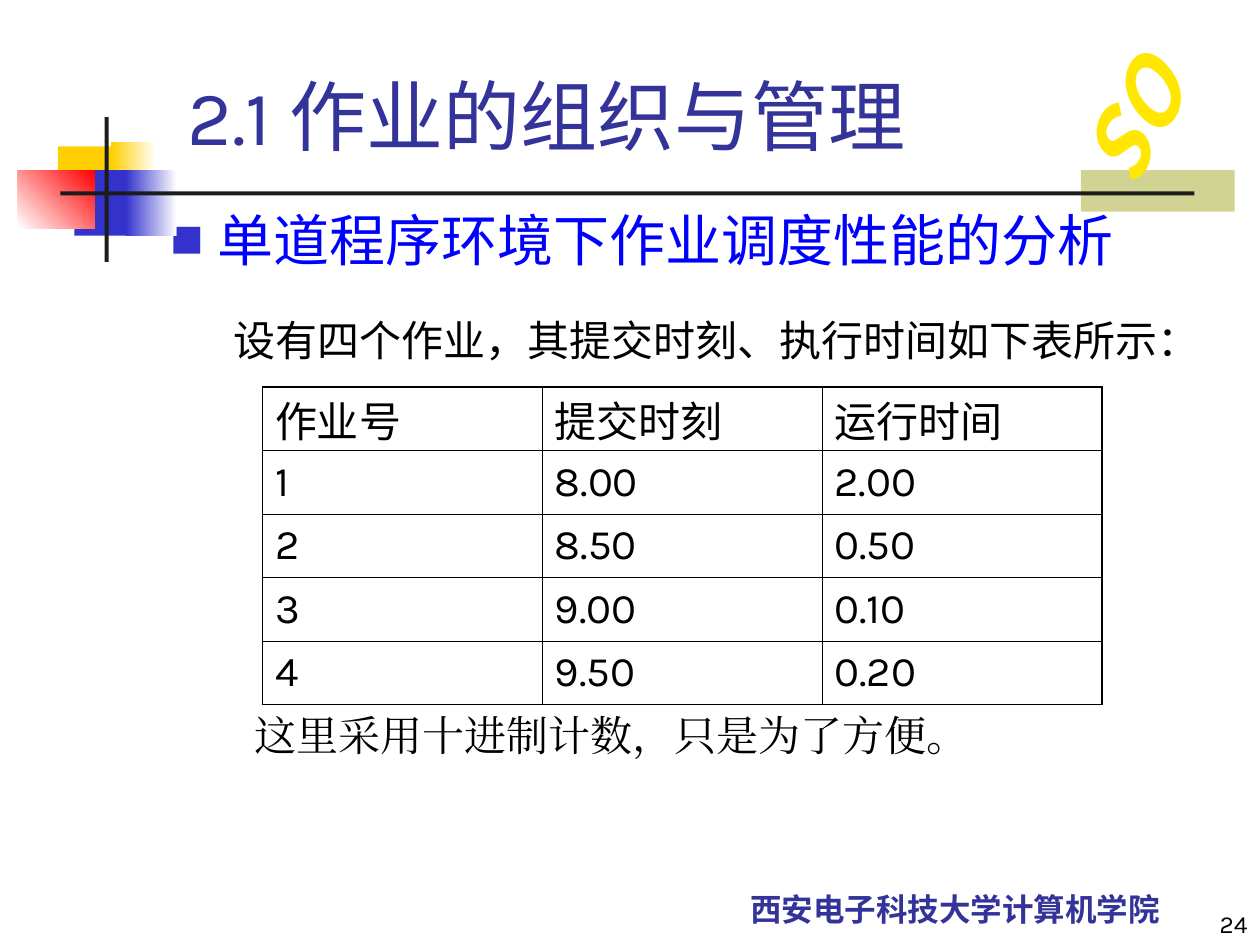
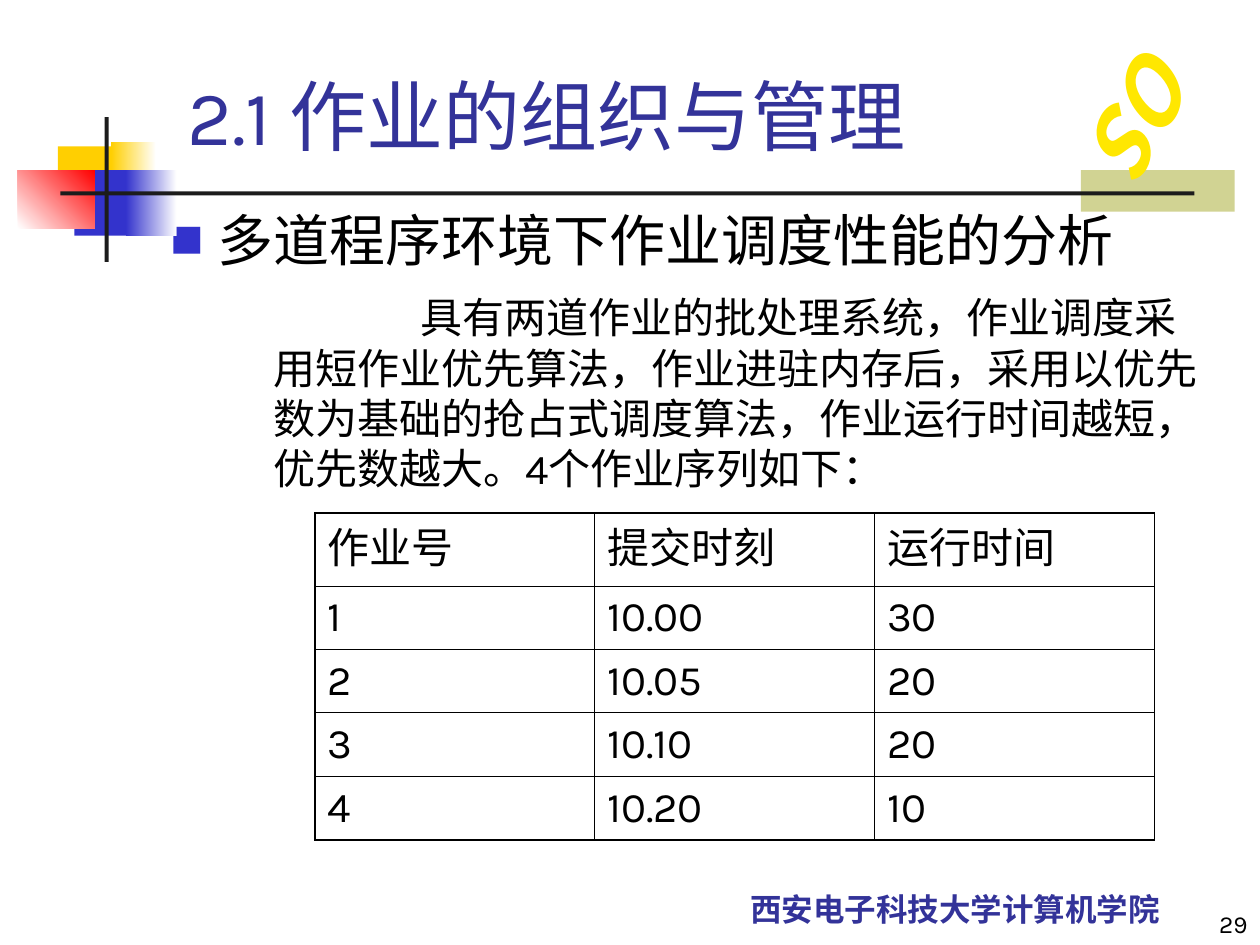
"""Builds two slides on job organisation and scheduling, each with a table of four jobs."""
from dataclasses import dataclass
from typing import NamedTuple

from lxml.etree import SubElement
from pptx import Presentation
from pptx.dml.color import RGBColor
from pptx.enum.lang import MSO_LANGUAGE_ID as Language
from pptx.enum.shapes import MSO_SHAPE as Preset
from pptx.enum.text import MSO_ANCHOR as Anchor, MSO_AUTO_SIZE as AutoSize, PP_ALIGN as Align
from pptx.oxml import parse_xml
from pptx.oxml.ns import nsdecls, qn
from pptx.util import Cm, Pt

INDIGO, BLUE, BLACK, WHITE = "333399", "0000FF", "000000", "FFFFFF"
VIOLET, GOLD, CHARCOAL, YELLOW = "3333CC", "FFCF01", "1C1C1C", "FFE701"
KARLA, SERIF, SANS, BADGE_FONT = "Karla", "Times New Roman", "Noto Sans CJK SC", "Noto Sans CJK JP"
TITLE = "2.1 作业的组织与管理"
SCHOOL = "西安电子科技大学计算机学院"
HEADINGS = ("作业号", "提交时刻", "运行时间")
COLUMN_WIDTH, ROW_HEIGHT = 5.64, 1.28
OUTER_LINE, INNER_LINE = 1.08, 0.45


class Area(NamedTuple):
    """Left, top, width and height in centimetres."""
    left: float
    top: float
    width: float
    height: float


class Style(NamedTuple):
    """Look of a paragraph."""
    size: float
    color: str = BLACK
    name: str = KARLA
    bold: bool = False
    italic: bool = False
    align: Align = Align.LEFT


class Block(NamedTuple):
    """A coloured rectangle of the band, faded to a second colour if given."""
    area: Area
    color: str
    fade: str = ""
    angle: float = 0


@dataclass(frozen=True)
class JobPage:
    """Everything that differs between the slides."""
    number: int
    heading: str
    heading_color: str
    detail: str
    detail_indent: float
    detail_space: float
    body_height: float
    table_left: float
    table_top: float
    header_height: float
    jobs: tuple
    note: str = ""


BAND = (
    Block(Area(21.79, 3.43, 3.1, 0.84), "D1D393"),
    Block(Area(1.17, 2.95, 1.22, 1.32), GOLD),
    Block(Area(2.24, 2.87, 0.91, 1.32), GOLD, WHITE),
    Block(Area(1.5, 3.43, 1.17, 1.32), VIOLET),
    Block(Area(2.54, 3.43, 1.02, 1.32), VIOLET, WHITE),
    Block(Area(0.36, 3.43, 1.55, 1.17), WHITE, "FF0000", 45),
    Block(Area(2.11, 2.36, 0.08, 2.92), CHARCOAL),
    Block(Area(1.22, 3.86, 22.86, 0.08), CHARCOAL),
)

PAGES = (
    JobPage(24, "单道程序环境下作业调度性能的分析", BLUE,
            "设有四个作业，其提交时刻、执行时间如下表所示：", -0.79, 24, 3.61,
            5.29, 7.8, ROW_HEIGHT,
            (("1", "8.00", "2.00"), ("2", "8.50", "0.50"),
             ("3", "9.00", "0.10"), ("4", "9.50", "0.20")),
            "这里采用十进制计数，只是为了方便。"),
    JobPage(29, "多道程序环境下作业调度性能的分析", BLACK,
            "具有两道作业的批处理系统，作业调度采用短作业优先算法，作业进驻内存后，"
            "采用以优先数为基础的抢占式调度算法，作业运行时间越短，优先数越大。4个作业序列如下：",
            2.97, 11, 6.15, 6.35, 10.34, 1.47,
            (("1", "10.00", "30"), ("2", "10.05", "20"),
             ("3", "10.10", "20"), ("4", "10.20", "10"))),
)


def rgb(color: str) -> RGBColor:
    """Turns a hex string into a colour."""
    return RGBColor.from_string(color)


def lengths(area: Area) -> list:
    """Gives the four lengths of an area."""
    return [Cm(value) for value in area]


def place(shape, area: Area) -> None:
    """Moves a shape to an area."""
    shape.left, shape.top, shape.width, shape.height = lengths(area)


def style_paragraph(para, text: str, style: Style) -> None:
    """Writes and formats one paragraph."""
    para.text = text
    para.alignment = style.align
    font = para.font
    font.size, font.bold, font.italic = Pt(style.size), style.bold, style.italic
    font.name, font.language_id = style.name, Language.SIMPLIFIED_CHINESE
    font.color.rgb = rgb(style.color)
    defaults = para._p.pPr.find(qn("a:defRPr"))
    SubElement(defaults, qn("a:ea")).set("typeface", style.name)


def set_bullet(para, margin: float, indent: float, symbol: str = "") -> None:
    """Sets the indents and the bullet, or no bullet, of a paragraph."""
    props = para._p.get_or_add_pPr()
    props.set("marL", str(Cm(margin)))
    props.set("indent", str(Cm(indent)))
    if not symbol:
        SubElement(props, qn("a:buNone"))
        return
    SubElement(SubElement(props, qn("a:buClr")), qn("a:srgbClr")).set("val", VIOLET)
    SubElement(props, qn("a:buSzPct")).set("val", "60000")
    SubElement(props, qn("a:buFont")).set("typeface", SANS)
    SubElement(props, qn("a:buChar")).set("char", symbol)


def add_text(page, text: str, area: Area, style: Style, anchor=Anchor.BOTTOM, wrap=True):
    """Adds a one-paragraph text box."""
    box = page.shapes.add_textbox(*lengths(area))
    frame = box.text_frame
    frame.word_wrap, frame.vertical_anchor = wrap, anchor
    style_paragraph(frame.paragraphs[0], text, style)
    return box


def add_block(page, block: Block) -> None:
    """Adds one rectangle of the band."""
    shape = page.shapes.add_shape(Preset.RECTANGLE, *lengths(block.area))
    shape.shadow.inherit = False
    shape.line.fill.background()
    if block.fade:
        shape.fill.gradient()
        shape.fill.gradient_angle = block.angle
        for stop, color in zip(shape.fill.gradient_stops, (block.color, block.fade)):
            stop.color.rgb = rgb(color)
    else:
        shape.fill.solid()
        shape.fill.fore_color.rgb = rgb(block.color)


def add_frame(page, number: int) -> None:
    """Adds the band, badge, footer and page number."""
    for block in BAND:
        add_block(page, block)
    add_text(page, SCHOOL, Area(13.54, 17.35, 11.43, 1.47),
             Style(18, INDIGO, SANS, bold=True, align=Align.CENTER))
    badge = add_text(page, "OS", Area(22.5, 0.71, 1.68, 2.16),
                     Style(49, YELLOW, BADGE_FONT, True, True, Align.CENTER),
                     Anchor.MIDDLE, wrap=False)
    frame = badge.text_frame
    frame.margin_left = frame.margin_right = Cm(0.13)
    frame.margin_top = frame.margin_bottom = Cm(0.25)
    badge.element.find(".//" + qn("a:bodyPr")).set("vert", "eaVert")
    badge.rotation = 29.3
    add_text(page, str(number), Area(20.12, 17.78, 5.28, 1.27), Style(14, align=Align.RIGHT))


def fill_placeholders(page, job_page: JobPage) -> None:
    """Writes the title and the body list."""
    title, body = page.placeholders
    place(title, Area(3.53, 1.27, 21.64, 2.11))
    place(body, Area(3.18, 4.01, 21.59, job_page.body_height))
    for shape, anchor in ((title, Anchor.BOTTOM), (body, Anchor.TOP)):
        shape.text_frame.auto_size = AutoSize.NONE
        shape.text_frame.vertical_anchor = anchor
    style_paragraph(title.text_frame.paragraphs[0], TITLE, Style(44, INDIGO))
    heading, detail = body.text_frame.paragraphs[0], body.text_frame.add_paragraph()
    heading.space_before, detail.space_before = Pt(0), Pt(job_page.detail_space)
    detail.level = 1
    set_bullet(heading, 0.95, -0.95, "■")
    set_bullet(detail, 2.07, job_page.detail_indent)
    style_paragraph(heading, job_page.heading, Style(32, job_page.heading_color))
    style_paragraph(detail, job_page.detail, Style(24))


def set_borders(cell, outer_sides: str) -> None:
    """Draws the four sides of a cell, heavier where they are on the outside."""
    props = cell._tc.get_or_add_tcPr()
    for index, side in enumerate("LRTB"):
        width = Pt(OUTER_LINE if side in outer_sides else INNER_LINE)
        props.insert(index, parse_xml(
            f'<a:ln{side} {nsdecls("a")} w="{width}"><a:solidFill>'
            f'<a:srgbClr val="{BLACK}"/></a:solidFill></a:ln{side}>'))


def add_job_table(page, job_page: JobPage) -> None:
    """Adds the table of jobs."""
    rows = (HEADINGS, *job_page.jobs)
    last_row, last_column = len(rows) - 1, len(HEADINGS) - 1
    area = Area(job_page.table_left, job_page.table_top, COLUMN_WIDTH * len(HEADINGS),
                job_page.header_height + ROW_HEIGHT * last_row)
    table = page.shapes.add_table(len(rows), len(HEADINGS), *lengths(area)).table
    table.first_row = table.horz_banding = False
    for column in table.columns:
        column.width = Cm(COLUMN_WIDTH)
    for row_index, values in enumerate(rows):
        is_header = row_index == 0
        table.rows[row_index].height = Cm(job_page.header_height if is_header else ROW_HEIGHT)
        for column_index, value in enumerate(values):
            cell = table.cell(row_index, column_index)
            cell.fill.background()
            cell.vertical_anchor = Anchor.TOP if is_header else Anchor.MIDDLE
            cell.margin_top = Cm(0.25 if is_header else 0.13)
            cell.margin_bottom = Cm(0 if is_header else 0.13)
            style_paragraph(cell.text_frame.paragraphs[0], value, Style(24))
            outer_sides = "".join(side for side, is_outer in (
                ("L", column_index == 0), ("R", column_index == last_column),
                ("T", is_header), ("B", row_index == last_row)) if is_outer)
            set_borders(cell, outer_sides)


def main() -> None:
    """Builds and saves the deck."""
    deck = Presentation()
    deck.slide_width, deck.slide_height = Cm(25.4), Cm(19.05)
    for job_page in PAGES:
        page = deck.slides.add_slide(deck.slide_layouts[1])
        fill_placeholders(page, job_page)
        add_frame(page, job_page.number)
        add_job_table(page, job_page)
        if job_page.note:
            add_text(page, job_page.note, Area(4.88, 14.17, 14.88, 1.27),
                     Style(24, name=SERIF), Anchor.MIDDLE, wrap=False)
    deck.save("out.pptx")


if __name__ == "__main__":
    main()
